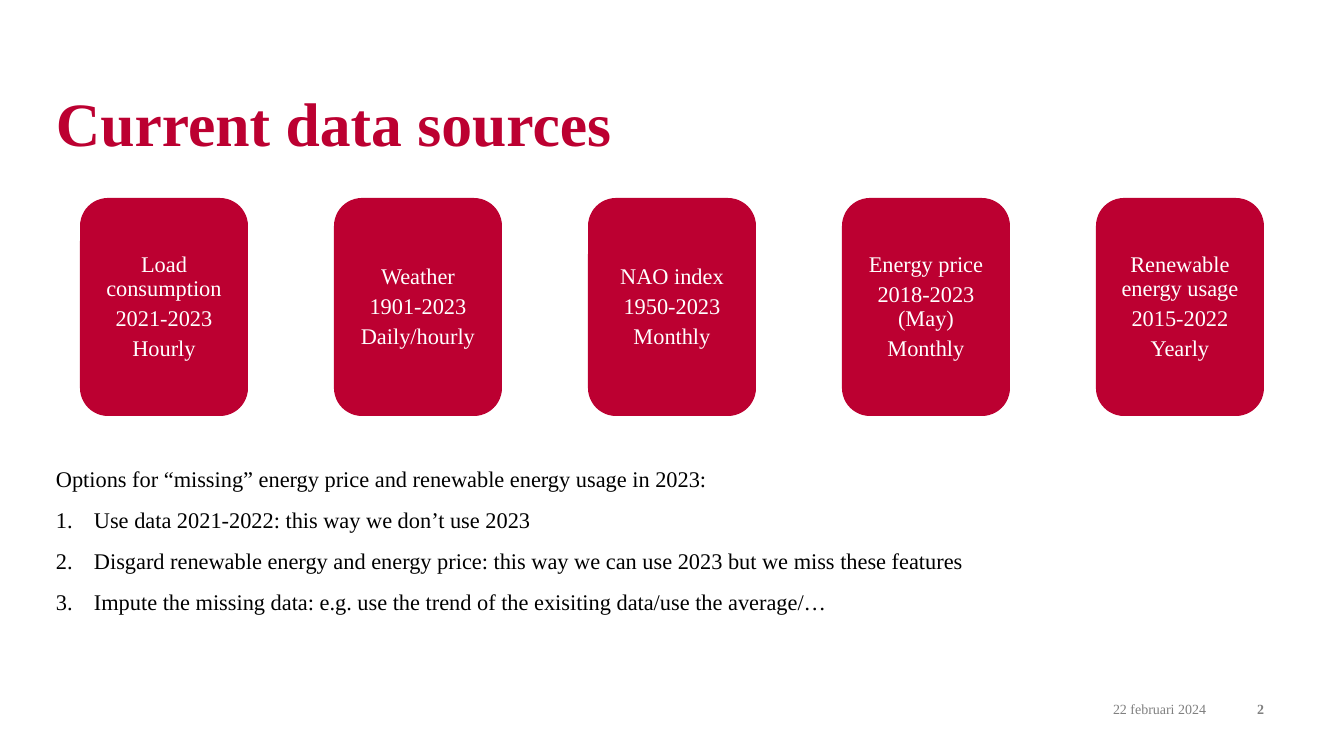
from dataclasses import dataclass

from lxml import etree
from pptx import Presentation
from pptx.dml.color import RGBColor
from pptx.enum.shapes import MSO_SHAPE
from pptx.enum.text import MSO_ANCHOR, PP_ALIGN
from pptx.oxml.ns import qn
from pptx.shapes.autoshape import Shape
from pptx.slide import Slide
from pptx.text.text import TextFrame
from pptx.util import Emu, Pt

LEFT, CENTER, RIGHT = PP_ALIGN.LEFT, PP_ALIGN.CENTER, PP_ALIGN.RIGHT
TOP, MIDDLE = MSO_ANCHOR.TOP, MSO_ANCHOR.MIDDLE
ROUNDED = MSO_SHAPE.ROUNDED_RECTANGLE

FONT = "Times New Roman"
COLORS = {"red": "BC0031", "white": "FFFFFF", "black": "000000", "grey": "808080"}
EMU_PER_INCH = 914400
PX_PER_INCH = 100.8

# Source cards: first position, size and step
CARD_LEFT, CARD_TOP, CARD_WIDTH, CARD_HEIGHT = 80, 198, 168, 218
CARD_STEP = 254
CARD_INSET = 16
LIST_INDENT = 38


@dataclass(frozen=True)
class DataSource:
    name: str
    period: str
    frequency: str


SOURCES = [
    DataSource("Load consumption", "2021-2023", "Hourly"),
    DataSource("Weather", "1901-2023", "Daily/hourly"),
    DataSource("NAO index", "1950-2023", "Monthly"),
    DataSource("Energy price", "2018-2023 (May)", "Monthly"),
    DataSource("Renewable energy usage", "2015-2022", "Yearly"),
]
OPTIONS_INTRO = "Options for “missing” energy price and renewable energy usage in 2023:"
OPTIONS = [
    "Use data 2021-2022: this way we don’t use 2023",
    "Disgard renewable energy and energy price: this way we can use 2023 but we miss these features",
    "Impute the missing data: e.g. use the trend of the exisiting data/use the average/…",
]


def px(length: int) -> Emu:
    return Emu(round(length * EMU_PER_INCH / PX_PER_INCH))


def write_text(frame: TextFrame, lines: list[str], *, size: int, color: str,
               bold: bool = False, align: PP_ALIGN = LEFT, anchor: MSO_ANCHOR = MIDDLE,
               inset: int = 0, line_spacing: float = 1.0, gap: int = 0) -> None:
    frame.word_wrap = True
    frame.vertical_anchor = anchor
    frame.margin_left = frame.margin_right = px(inset)
    frame.margin_top = frame.margin_bottom = px(inset)
    for index, line in enumerate(lines):
        paragraph = frame.add_paragraph() if index else frame.paragraphs[0]
        paragraph.alignment = align
        paragraph.line_spacing = line_spacing
        paragraph.space_before = paragraph.space_after = Pt(gap)
        run = paragraph.add_run()
        run.text = line
        run.font.name = FONT
        run.font.size = Pt(size)
        run.font.bold = bold
        run.font.color.rgb = RGBColor.from_string(COLORS[color])


def add_text_area(slide: Slide, left: int, top: int, width: int, height: int) -> Shape:
    return slide.shapes.add_textbox(px(left), px(top), px(width), px(height))


def add_source_card(slide: Slide, source: DataSource, left: int) -> None:
    card = slide.shapes.add_shape(
        ROUNDED, px(left), px(CARD_TOP), px(CARD_WIDTH), px(CARD_HEIGHT))
    card.shadow.inherit = False
    card.fill.solid()
    card.fill.fore_color.rgb = RGBColor.from_string(COLORS["red"])
    card.line.fill.background()
    write_text(card.text_frame, [source.name, source.period, source.frequency],
               size=16, color="white", align=CENTER, inset=CARD_INSET,
               line_spacing=0.9, gap=2)


def number_paragraphs(frame: TextFrame, first: int) -> None:
    for paragraph in frame.paragraphs[first:]:
        properties = paragraph._p.get_or_add_pPr()
        properties.set("marL", str(px(LIST_INDENT)))
        properties.set("indent", str(-px(LIST_INDENT)))
        numbering = etree.SubElement(properties, qn("a:buAutoNum"))
        numbering.set("type", "arabicPeriod")


def main() -> None:
    presentation = Presentation()
    presentation.slide_width, presentation.slide_height = px(1344), px(756)
    slide = presentation.slides.add_slide(presentation.slide_layouts[6])

    # Title
    title = add_text_area(slide, 56, 78, 1230, 98)
    write_text(title.text_frame, ["Current data sources"], size=44, color="red",
               bold=True, line_spacing=0.9)

    # Footer
    date = add_text_area(slide, 882, 700, 324, 17)
    write_text(date.text_frame, ["22 februari 2024"], size=10, color="grey", align=RIGHT)
    page_number = add_text_area(slide, 1233, 700, 31, 17)
    write_text(page_number.text_frame, ["2"], size=10, color="grey", bold=True, align=RIGHT)

    # Data sources
    for index, source in enumerate(SOURCES):
        add_source_card(slide, source, CARD_LEFT + index * CARD_STEP)

    # Options for the missing data
    options = add_text_area(slide, 56, 468, 1252, 175)
    write_text(options.text_frame, [OPTIONS_INTRO, *OPTIONS], size=16, color="black",
               anchor=TOP, line_spacing=0.9, gap=6)
    number_paragraphs(options.text_frame, first=1)

    presentation.save("out.pptx")


if __name__ == "__main__":
    main()
